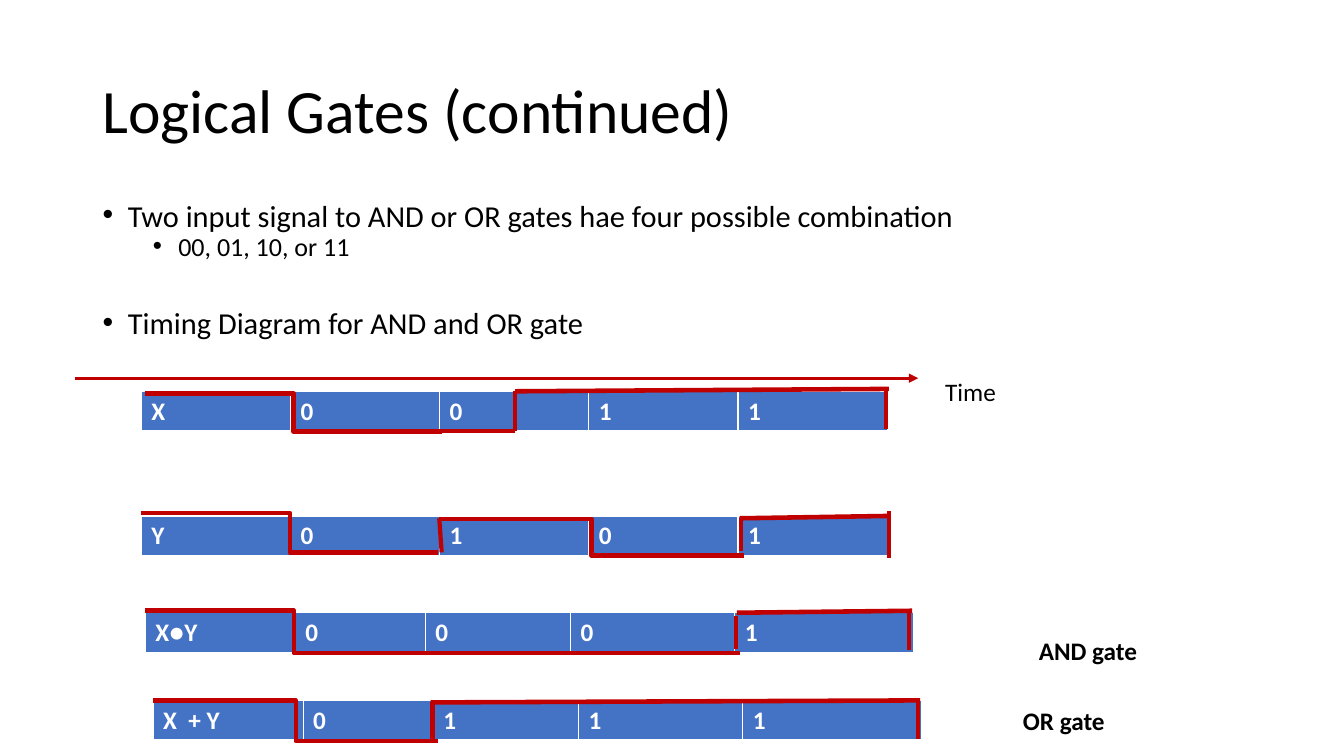
import pptx
import pptx.dml.color
import pptx.enum.shapes
import pptx.enum.text
import pptx.oxml.ns
import pptx.util
from lxml import etree

Cm = pptx.util.Cm
Pt = pptx.util.Pt
qn = pptx.oxml.ns.qn
KIND = pptx.enum.shapes.MSO_CONNECTOR
ANCHOR = pptx.enum.text.MSO_ANCHOR


def color(code):
    return pptx.dml.color.RGBColor.from_string(code)


class Deck:
    """Hold the style and the current slide, and draw each kind of element."""

    font, ink, paper, blue, red = "Calibri", "000000", "FFFFFF", "4472C4", "C00000"

    def __init__(self):
        self.file = pptx.Presentation()
        self.file.slide_width, self.file.slide_height = Cm(33.87), Cm(19.05)
        self.slide = self.file.slides.add_slide(self.file.slide_layouts[1])

    def word(self, para, text, size, code=ink, bold=False):
        run = para.add_run()
        run.text = text
        run.font.name, run.font.size, run.font.bold = self.font, Pt(size), bold
        run.font.color.rgb = color(code)

    def place(self, shape, left, top, width, height):
        shape.left, shape.top = Cm(left), Cm(top)
        shape.width, shape.height = Cm(width), Cm(height)

    def title(self, text, *box):
        shape = self.slide.shapes.title
        self.place(shape, *box)
        frame = shape.text_frame
        frame.auto_size = pptx.enum.text.MSO_AUTO_SIZE.NONE
        frame.vertical_anchor = ANCHOR.MIDDLE
        para = frame.paragraphs[0]
        para.alignment = pptx.enum.text.PP_ALIGN.LEFT
        para.line_spacing = 0.9
        self.word(para, text, 44)

    def body(self, items, *box):
        shape = self.slide.placeholders[1]
        self.place(shape, *box)
        frame = shape.text_frame
        frame.auto_size = pptx.enum.text.MSO_AUTO_SIZE.NONE
        for n, (text, level, size, before) in enumerate(items):
            para = frame.add_paragraph() if n else frame.paragraphs[0]
            para.level, para.line_spacing, para.space_before = level, 0.7, Pt(before)
            props = para._p.get_or_add_pPr()
            props.set("marL", str(Cm(0.64 + 1.27 * level)))
            props.set("indent", str(Cm(-0.64)))
            etree.SubElement(props, qn("a:buFont"), typeface="Arial")
            etree.SubElement(props, qn("a:buChar"), char="•")
            self.word(para, text, size)

    def label(self, text, left, top, width, bold=True):
        box = self.slide.shapes.add_textbox(Cm(left), Cm(top), Cm(width), Cm(1.02))
        box.text_frame.word_wrap = True
        self.word(box.text_frame.paragraphs[0], text, 18, bold=bold)

    def edge(self, cell, side, width):
        props = cell._tc.get_or_add_tcPr()
        line = etree.SubElement(props, qn("a:" + side), w=str(Pt(width)))
        fill = etree.SubElement(line, qn("a:solidFill"))
        etree.SubElement(fill, qn("a:srgbClr"), val=self.paper)

    def table(self, left, top, widths, texts):
        frame = self.slide.shapes.add_table(
            1, len(texts), Cm(left), Cm(top), Cm(sum(widths)), Cm(1.02))
        for n, (width, text) in enumerate(zip(widths, texts)):
            frame.table.columns[n].width = Cm(width)
            cell = frame.table.cell(0, n)
            for side, line in (("lnL", 1), ("lnR", 1), ("lnT", 1), ("lnB", 3)):
                self.edge(cell, side, line)
            cell.fill.solid()
            cell.fill.fore_color.rgb = color(self.blue)
            self.word(cell.text_frame.paragraphs[0], text, 18, self.paper, True)

    def line(self, ends, width, kind=KIND.STRAIGHT):
        wire = self.slide.shapes.add_connector(kind, *(Cm(v) for v in ends))
        wire.line.color.rgb = color(self.red)
        wire.line.width = Pt(width)
        etree.SubElement(wire._element.spPr, qn("a:effectLst"))
        return wire

    def arrow(self, ends, width):
        wire = self.line(ends, width)
        stroke = wire._element.spPr.find(qn("a:ln"))
        etree.SubElement(stroke, qn("a:tailEnd"), type="triangle")

    def step(self, ends, bend):
        wire = self.line(ends, 3.25, KIND.ELBOW)
        geom = wire._element.spPr.find(qn("a:prstGeom"))
        guides = geom.find(qn("a:avLst"))
        if guides is None:
            guides = etree.SubElement(geom, qn("a:avLst"))
        etree.SubElement(guides, qn("a:gd"), name="adj1", fmla=f"val {round(bend * 100000)}")


EVEN = [3.76] * 5
WIDE = [3.78, 3.28, 3.66, 4.14, 4.5]
TABLES = [
    (3.56, 9.86, EVEN, ["X", "0", "0", "1", "1"]),
    (3.56, 13.0, EVEN, ["Y", "0", "1", "0", "1"]),
    (3.66, 15.44, WIDE, ["X●Y", "0", "0", "0", "1"]),
    (3.86, 17.65, WIDE, ["X  + Y", "0", "1", "1", "1"]),
]
STEPS = [
    ((3.66, 9.91, 11.13, 10.87), 0.5),
    ((3.56, 12.93, 11.05, 13.92), 0.5),
    ((11.07, 13.08, 18.75, 14.0), 0.5),
    ((3.66, 15.39, 18.64, 16.46), 0.25),
    ((3.86, 17.65, 11.05, 18.67), 0.5),
]
TOPS = [
    (12.98, 9.86, 22.4, 9.8),
    (18.64, 13.06, 22.45, 13.0),
    (18.57, 15.44, 22.99, 15.39),
    (10.85, 17.7, 23.19, 17.65),
]
SIDES = [
    (11.15, 10.87, 12.98, 10.87),
    (12.98, 9.86, 12.98, 10.87),
    (22.33, 9.83, 22.33, 10.8),
    (11.07, 13.06, 11.13, 13.92),
    (18.67, 13.06, 18.67, 13.89),
    (22.4, 12.88, 22.4, 14.05),
    (18.54, 15.52, 18.54, 16.36),
    (22.91, 15.44, 22.91, 16.38),
    (10.9, 17.7, 10.9, 18.67),
    (23.14, 17.68, 23.14, 18.62),
]


def main():
    deck = Deck()
    deck.title("Logical Gates (continued)", 2.33, 1.02, 29.21, 3.68)
    deck.body([
        ("Two input signal to AND or OR gates hae four possible combination", 0, 21.7, 10),
        ("00, 01, 10, or 11", 1, 18.6, 5),
        ("Timing Diagram for AND and OR gate", 0, 21.7, 38),
    ], 2.33, 5.08, 29.21, 3.91)
    for table in TABLES:
        deck.table(*table)
    for ends, bend in STEPS:
        deck.step(ends, bend)
    for ends in TOPS:
        deck.line(ends, 3.25)
    for ends in SIDES:
        deck.line(ends, 3)
    deck.arrow((1.88, 9.53, 23.14, 9.53), 2.25)
    deck.label("Time", 23.57, 9.35, 7.06, bold=False)
    deck.label("AND gate", 25.93, 15.88, 4.01)
    deck.label("OR gate", 25.53, 17.65, 2.67)
    deck.file.save("out.pptx")


if __name__ == "__main__":
    main()
